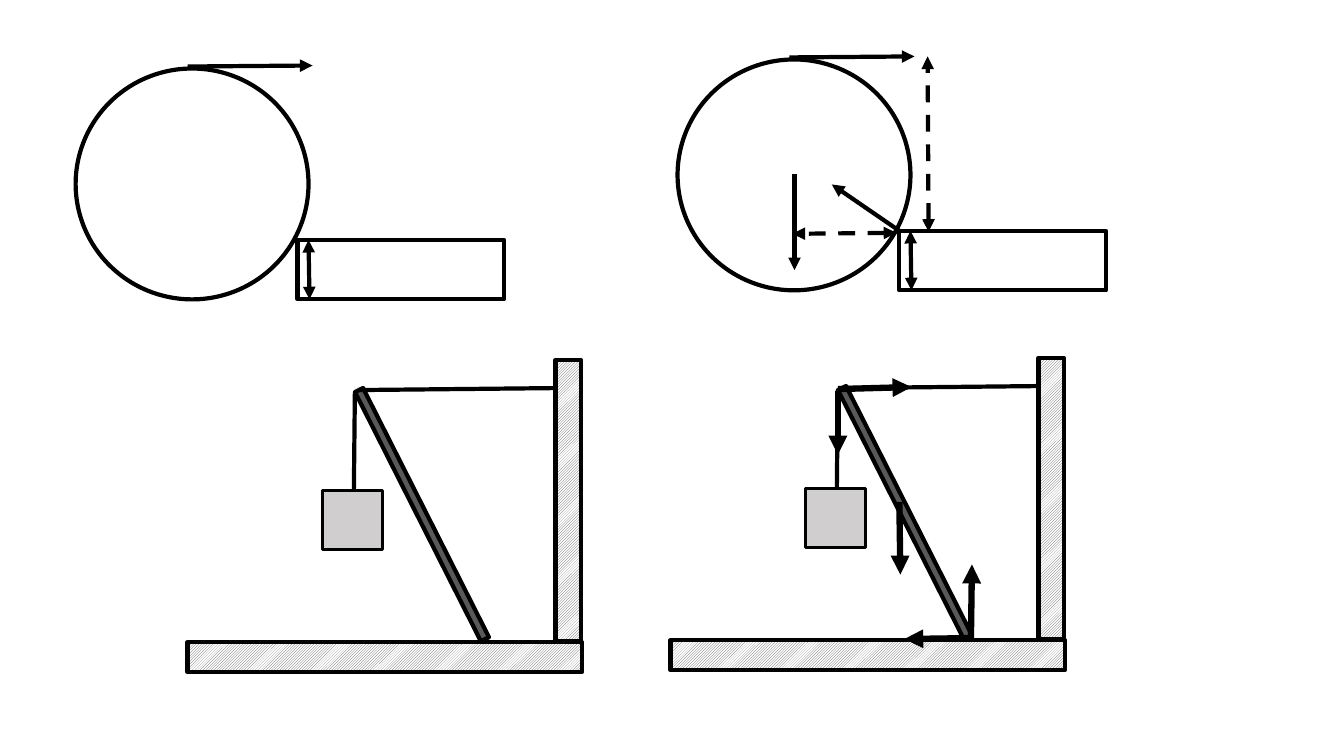
from dataclasses import dataclass

from lxml.etree import SubElement
from pptx import Presentation
from pptx.dml.color import RGBColor
from pptx.enum.dml import MSO_LINE, MSO_PATTERN
from pptx.enum.shapes import MSO_CONNECTOR, MSO_SHAPE
from pptx.oxml.ns import qn
from pptx.shapes.group import GroupShape
from pptx.util import Emu, Pt

PX = 9144  # 100 px to the inch
BLACK, WHITE, DARK_GREY, LIGHT_GREY = "000000", "FFFFFF", "595959", "D0CECE"


@dataclass(frozen=True)
class Block:
    left: int
    top: int
    width: int
    height: int
    fill: str = ""
    hatched: bool = False
    rotation: float = 0
    outline: float = 3
    preset: MSO_SHAPE = MSO_SHAPE.RECTANGLE


@dataclass(frozen=True)
class Line:
    x1: int
    y1: int
    x2: int
    y2: int
    weight: float = 3
    head: bool = False
    tail: bool = False
    dashed: bool = False


# Leaning pole held by a rope, with a hanging load
POLE_SCENE = [
    Block(186, 637, 391, 30, DARK_GREY, hatched=True),  # floor
    Block(551, 357, 25, 279, DARK_GREY, hatched=True),  # wall
    Block(414, 372, 9, 277, DARK_GREY, rotation=153.2),  # pole
    Block(320, 487, 59, 58, LIGHT_GREY, outline=2.25),  # load
    Line(351, 485, 352, 389),  # load rope
    Line(552, 385, 355, 387),  # wall rope
]
POLE_FORCES = [
    Line(831, 388, 831, 451, weight=4.5, tail=True),  # load
    Line(831, 386, 904, 384, weight=4.5, tail=True),  # rope tension
    Line(892, 498, 893, 570, weight=4.5, tail=True),  # pole weight
    Line(964, 633, 897, 634, weight=4.5, tail=True),  # friction
    Line(963, 633, 964, 560, weight=4.5, tail=True),  # floor reaction
]

# Wheel pulled over a step
WHEEL_SCENE = [
    Block(75, 68, 231, 229, preset=MSO_SHAPE.OVAL),  # wheel
    Block(295, 238, 205, 59),  # step
    Line(307, 297, 306, 238, head=True, tail=True),  # step height
    Line(186, 66, 310, 65, tail=True),  # pull
]
WHEEL_FORCES = [
    Line(788, 173, 788, 268, tail=True),  # wheel weight
    Line(892, 229, 825, 183, tail=True),  # step reaction
    Line(921, 230, 920, 56, head=True, tail=True, dashed=True),  # pull lever arm
    Line(889, 231, 786, 232, head=True, tail=True, dashed=True),  # weight lever arm
]


def px(value: int) -> Emu:
    return Emu(value * PX)


def color(value: str) -> RGBColor:
    return RGBColor.from_string(value)


def draw_block(group: GroupShape, block: Block, dx: int, dy: int) -> None:
    shape = group.shapes.add_shape(
        block.preset, px(block.left + dx), px(block.top + dy),
        px(block.width), px(block.height))
    shape.shadow.inherit = False
    shape.rotation = block.rotation
    shape.line.color.rgb = color(BLACK)
    shape.line.width = Pt(block.outline)
    if block.hatched:
        shape.fill.patterned()
        shape.fill.pattern = MSO_PATTERN.LIGHT_UPWARD_DIAGONAL
        shape.fill.fore_color.rgb = color(block.fill)
        shape.fill.back_color.rgb = color(WHITE)
    elif block.fill:
        shape.fill.solid()
        shape.fill.fore_color.rgb = color(block.fill)
    else:
        shape.fill.background()


def draw_line(group: GroupShape, line: Line, dx: int, dy: int) -> None:
    connector = group.shapes.add_connector(
        MSO_CONNECTOR.STRAIGHT, px(line.x1 + dx), px(line.y1 + dy),
        px(line.x2 + dx), px(line.y2 + dy))
    connector.line.color.rgb = color(BLACK)
    connector.line.width = Pt(line.weight)
    if line.dashed:
        connector.line.dash_style = MSO_LINE.DASH
    properties = connector._element.spPr
    outline = properties.find(qn("a:ln"))
    for tag, wanted in (("a:headEnd", line.head), ("a:tailEnd", line.tail)):
        if wanted:
            SubElement(outline, qn(tag), type="triangle")
    SubElement(properties, qn("a:effectLst"))


def draw_parts(group: GroupShape, parts: list[Block | Line], dx: int = 0, dy: int = 0) -> None:
    for part in parts:
        draw = draw_block if isinstance(part, Block) else draw_line
        draw(group, part, dx, dy)


def main() -> None:
    presentation = Presentation()
    presentation.slide_width, presentation.slide_height = px(1333), px(750)
    slide = presentation.slides.add_slide(presentation.slide_layouts[6])

    # Each scene appears plain on the left and with its forces on the right
    for scene, forces, dx, dy in (
        (POLE_SCENE, POLE_FORCES, 479, -2),
        (WHEEL_SCENE, WHEEL_FORCES, 597, -9),
    ):
        draw_parts(slide.shapes.add_group_shape(), scene)
        force_diagram = slide.shapes.add_group_shape()
        draw_parts(force_diagram, scene, dx, dy)
        draw_parts(force_diagram, forces)

    presentation.save("out.pptx")


if __name__ == "__main__":
    main()
